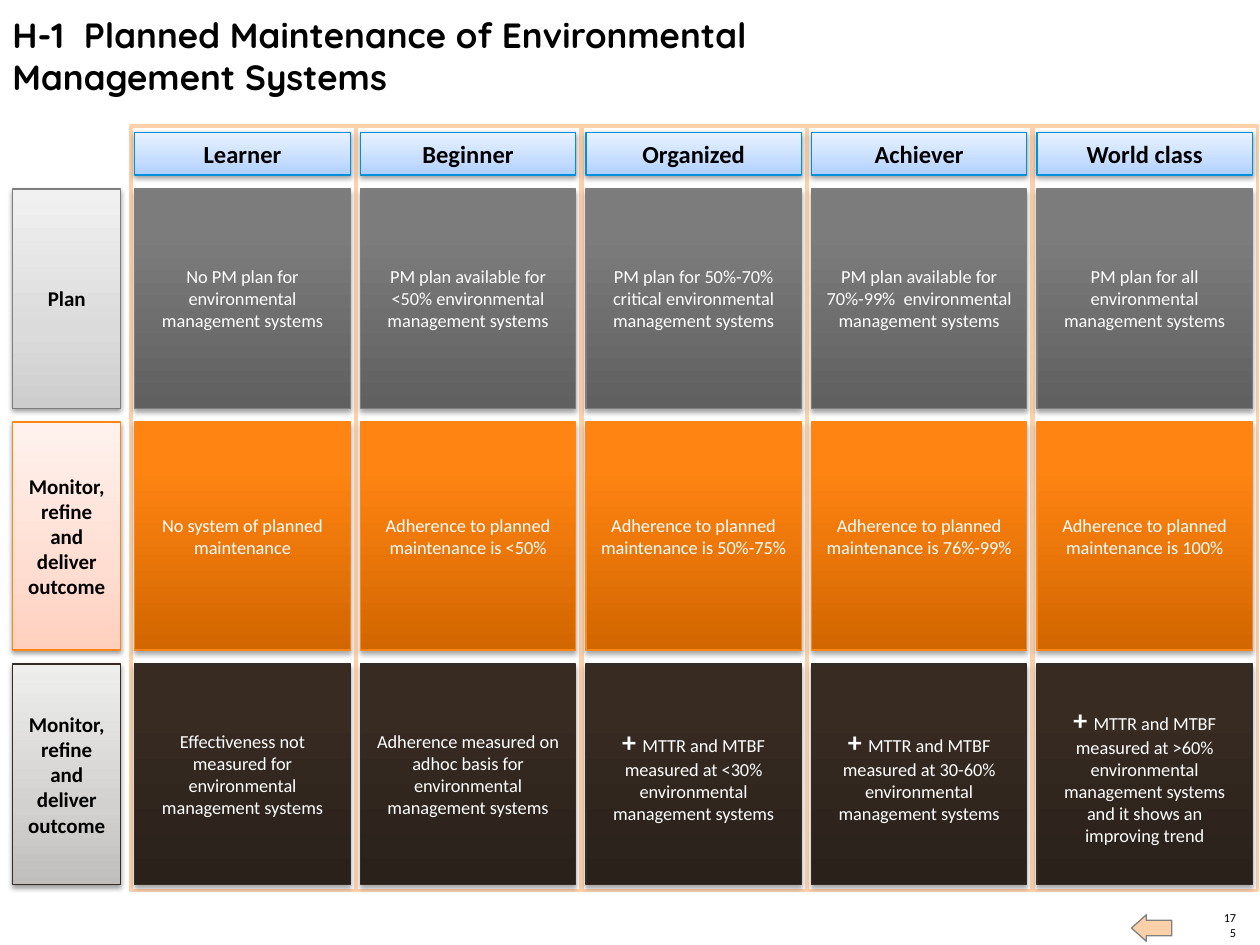
import copy

import pptx
import pptx.dml.color
import pptx.enum.shapes
import pptx.enum.text
import pptx.oxml
import pptx.oxml.ns
import pptx.util

Inches = pptx.util.Inches
Pt = pptx.util.Pt
SHAPES = pptx.enum.shapes.MSO_SHAPE
ALIGN = pptx.enum.text.PP_ALIGN
ANCHOR = pptx.enum.text.MSO_ANCHOR

LEVELS = ["Learner", "Beginner", "Organized", "Achiever", "World class"]
FRAME_LEFT, CELL_LEFT, LEVEL_PITCH = 1.04, 1.07, 1.79
CELL_WIDTH = 1.71
FRAME_COLOR = "FCD1AA"

# Gradients run from bottom to top as (position, colour).
HEADER_GRADIENT = [(0, "AECFFF"), (0.35, "C6DDFF"), (1, "E9F2FF")]
LABEL_SHADOW = (38, 1.6)
CELL_SHADOW = (35, 1.8)

ROWS = [
    {
        "label": "Plan", "top": 1.5, "height": 1.74, "line": "7D7D7D",
        "label_gradient": [(0, "CDCDCD"), (0.35, "DBDBDB"), (1, "F1F1F1")],
        "cell_gradient": [(0, "606060"), (0.8, "7C7C7C"), (1, "7D7D7D")],
        "cells": [
            "No PM plan for environmental management systems",
            "PM plan available for <50% environmental management systems",
            "PM plan for 50%-70% critical environmental management systems",
            "PM plan available for 70%-99%  environmental management systems",
            "PM plan for all environmental management systems",
        ],
    },
    {
        "label": "Monitor, refine and deliver outcome",
        "top": 3.35, "height": 1.81, "line": "FF8615",
        "label_gradient": [(0, "FFCFBD"), (0.35, "FFDDD1"), (1, "FFF2EE")],
        "cell_gradient": [(0, "D26600"), (0.8, "FF8412"), (1, "FF8514")],
        "cells": [
            "No system of planned maintenance",
            "Adherence to planned maintenance is <50%",
            "Adherence to planned maintenance is 50%-75%",
            "Adherence to planned maintenance is 76%-99%",
            "Adherence to planned maintenance is 100%",
        ],
    },
    {
        "label": "Monitor, refine and deliver outcome",
        "top": 5.27, "height": 1.75, "line": "352C25",
        "label_gradient": [(0, "C0BEBC"), (0.35, "D3D1D0"), (1, "EEEEED")],
        "cell_gradient": [(0, "2A211B"), (0.8, "372B22"), (1, "372B22")],
        "cells": [
            "Effectiveness not measured for environmental management systems",
            "Adherence measured on adhoc basis for environmental management systems",
            "+ MTTR and MTBF measured at <30% environmental management systems",
            "+ MTTR and MTBF measured at 30-60% environmental management systems",
            "+ MTTR and MTBF measured at >60% environmental management systems "
            "and it shows an improving trend",
        ],
    },
]


def rgb(color):
    return pptx.dml.color.RGBColor.from_string(color)


def set_font(font, size, color, bold=False, name="Calibri"):
    font.name = name
    font.size = Pt(size)
    font.bold = bold
    font.color.rgb = rgb(color)


def add_outlined(slide, kind, box, fill, line, width):
    """Add a flat shape; fill None leaves the fill to the caller."""
    shape = slide.shapes.add_shape(kind, *map(Inches, box))
    shape.shadow.inherit = False
    if fill:
        shape.fill.solid()
        shape.fill.fore_color.rgb = rgb(fill)
    shape.line.color.rgb = rgb(line)
    shape.line.width = Pt(width)
    return shape


def fill_gradient(shape, stops):
    shape.fill.gradient()
    shape.fill.gradient_angle = 90
    stop_list = shape._element.spPr.find(".//" + pptx.oxml.ns.qn("a:gsLst"))
    stop_list.append(copy.deepcopy(stop_list[0]))
    for stop, (position, color) in zip(shape.fill.gradient_stops, stops):
        stop.position = position
        stop.color.rgb = rgb(color)


def cast_shadow(shape, opacity, distance):
    effects = shape._element.spPr.find(pptx.oxml.ns.qn("a:effectLst"))
    effects.append(pptx.oxml.parse_xml(
        f'<a:outerShdw {pptx.oxml.ns.nsdecls("a")} blurRad="{Pt(3.1)}" '
        f'dist="{Pt(distance)}" dir="5400000" rotWithShape="0">'
        f'<a:srgbClr val="000000"><a:alpha val="{opacity * 1000}"/></a:srgbClr>'
        '</a:outerShdw>'))


def add_panel(slide, box, gradient, line, shadow, text, size, color, bold=False):
    """Add a shaded box with centred text; a leading plus is set large."""
    panel = add_outlined(slide, SHAPES.RECTANGLE, box, None, line, 0.75)
    fill_gradient(panel, gradient)
    cast_shadow(panel, *shadow)
    frame = panel.text_frame
    frame.word_wrap = True
    frame.vertical_anchor = ANCHOR.MIDDLE
    paragraph = frame.paragraphs[0]
    paragraph.alignment = ALIGN.CENTER
    set_font(paragraph.font, size, color, bold)
    if text.startswith("+ "):
        plus = paragraph.add_run()
        plus.text = "+ "
        set_font(plus.font, 16, color, bold=True)
        text = text[2:]
    body = paragraph.add_run()
    body.text = text
    set_font(body.font, size, color, bold)


def add_text(slide, box, text, size, bold=False, name="Calibri"):
    frame = slide.shapes.add_textbox(*map(Inches, box)).text_frame
    frame.word_wrap = True
    paragraph = frame.paragraphs[0]
    paragraph.text = text
    set_font(paragraph.font, size, "000000", bold, name)
    return frame


def add_page_number(slide):
    frame = add_text(slide, (9.69, 7.34, 0.12, 0.12), "175", 7)
    frame.margin_left = frame.margin_right = 0
    frame.margin_top = frame.margin_bottom = 0
    frame.vertical_anchor = ANCHOR.BOTTOM
    frame.paragraphs[0].alignment = ALIGN.RIGHT


def add_back_arrow(slide):
    arrow = add_outlined(slide, SHAPES.RIGHT_ARROW, (8.98, 7.26, 0.32, 0.21),
                         FRAME_COLOR, "808080", 0.75)
    arrow.rotation = 180
    arrow.adjustments[0] = 0.59
    arrow.adjustments[1] = 0.56


def add_matrix(slide):
    for row in ROWS:
        add_panel(slide, (0.1, row["top"], 0.86, row["height"]),
                  row["label_gradient"], row["line"], LABEL_SHADOW,
                  row["label"], 12, "000000", bold=True)
    for column in range(len(LEVELS)):
        add_outlined(slide, SHAPES.RECTANGLE,
                     (FRAME_LEFT + column * LEVEL_PITCH, 1, 1.78, 6.07),
                     "FFFFFF", FRAME_COLOR, 2)
    for row in ROWS:
        for column, text in enumerate(row["cells"]):
            left = CELL_LEFT + column * LEVEL_PITCH
            add_panel(slide, (left, row["top"], CELL_WIDTH, row["height"]),
                      row["cell_gradient"], row["line"], CELL_SHADOW,
                      text, 10.5, "FFFFFF")
    for column, level in enumerate(LEVELS):
        left = CELL_LEFT + column * LEVEL_PITCH
        add_panel(slide, (left, 1.05, CELL_WIDTH, 0.34), HEADER_GRADIENT,
                  "008FDC", LABEL_SHADOW, level, 14, "000000", bold=True)


def main():
    deck = pptx.Presentation()
    deck.slide_width, deck.slide_height = Inches(10), Inches(7.5)
    slide = deck.slides.add_slide(deck.slide_layouts[6])
    add_page_number(slide)
    add_back_arrow(slide)
    add_text(slide, (0, 0.06, 7.48, 0.77),
             "H-1  Planned Maintenance of Environmental Management Systems",
             20, bold=True, name="Quicksand")
    add_matrix(slide)
    deck.save("out.pptx")


if __name__ == "__main__":
    main()
